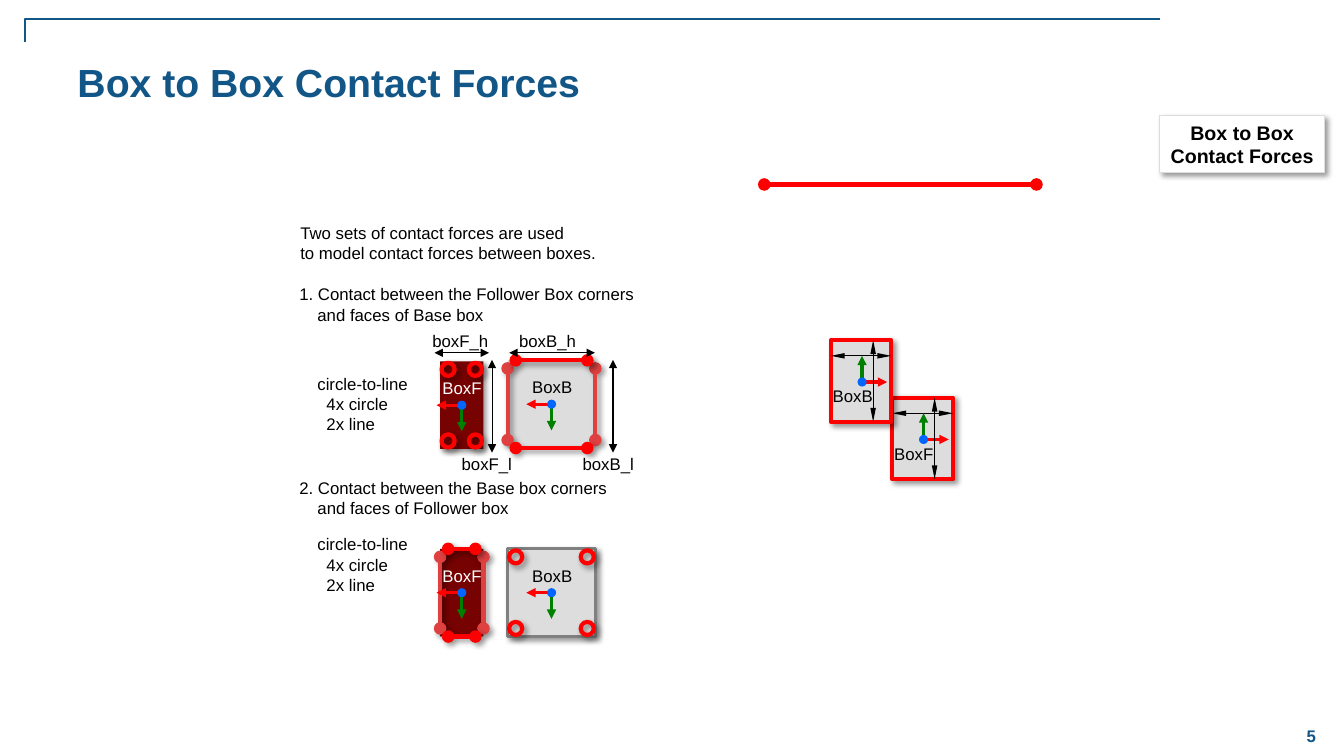
"""Builds the slide on contact forces between two boxes."""
from dataclasses import dataclass
from itertools import product

from lxml import etree
from pptx import Presentation
from pptx.dml.color import RGBColor
from pptx.enum.shapes import MSO_CONNECTOR, MSO_SHAPE
from pptx.enum.text import MSO_ANCHOR, PP_ALIGN
from pptx.oxml.ns import qn
from pptx.util import Inches, Pt

RECT, OVAL, STRAIGHT = MSO_SHAPE.RECTANGLE, MSO_SHAPE.OVAL, MSO_CONNECTOR.STRAIGHT
LEFT, CENTER = PP_ALIGN.LEFT, PP_ALIGN.CENTER
TOP, MIDDLE = MSO_ANCHOR.TOP, MSO_ANCHOR.MIDDLE


@dataclass(frozen=True)
class Theme:
    """Font, colours, type sizes and line widths."""
    font: str = "Arial"
    blue: str = "125687"
    black: str = "000000"
    white: str = "FFFFFF"
    red: str = "FF0000"
    side: str = "DF4141"
    maroon: str = "760202"
    grey: str = "DDDDDD"
    edge: str = "808080"
    green: str = "008000"
    origin: str = "0066FF"
    title: int = 28
    tag: int = 14
    body: int = 12
    thin: float = 0.75
    axis: float = 2.25
    thick: float = 3


T = Theme()


@dataclass(frozen=True)
class Box:
    """A box of the contact model, placed by its centre."""
    name: str
    cx: float
    cy: float
    w: float
    fill: str
    ink: str
    faces: bool
    line: str = ""
    shadow: bool = False


@dataclass(frozen=True)
class Note:
    """A text box whose lines after the first may be indented."""
    x: float
    y: float
    w: float
    h: float
    lines: tuple
    indent: float = 0


@dataclass(frozen=True)
class Dimension:
    """A double arrow with its label position."""
    name: str
    start: tuple
    end: tuple
    label: tuple
    w: float


BOXES = (
    Box("BoxF", 4.58, 4.02, 0.43, T.maroon, T.white, False, shadow=True),
    Box("BoxB", 5.47, 4.01, 0.87, T.grey, T.black, True),
    Box("BoxB", 5.47, 5.88, 0.87, T.grey, T.black, False, T.edge, True),
    Box("BoxF", 4.58, 5.88, 0.43, T.maroon, T.white, True),
)
METHOD = ("circle-to-line", "4x circle", "2x line")
NOTES = (
    Note(2.88, 2.16, 3.16, 0.5, ("Two sets of contact forces are used",
                                 "to model contact forces between boxes.")),
    Note(2.87, 2.77, 3.53, 0.5, ("1. Contact between the Follower Box corners",
                                 "and faces of Base box"), 0.18),
    Note(3.05, 3.66, 1.1, 0.71, METHOD, 0.09),
    Note(2.87, 4.69, 3.28, 0.5, ("2. Contact between the Base box corners",
                                 "and faces of Follower box"), 0.18),
    Note(3.05, 5.25, 1.1, 0.71, METHOD, 0.09),
)
DIMENSIONS = (
    Dimension("boxB_h", (5.05, 3.5), (5.9, 3.5), (5.05, 3.23), 0.77),
    Dimension("boxB_l", (6.08, 3.57), (6.08, 4.49), (5.68, 4.45), 0.71),
    Dimension("boxF_h", (4.31, 3.5), (4.85, 3.5), (4.19, 3.23), 0.77),
    Dimension("boxF_l", (4.88, 3.57), (4.88, 4.49), (4.48, 4.45), 0.71),
)
CONTACT_PAIR = (("BoxF", 9.15, 4.35), ("BoxB", 8.54, 3.78))


def rgb(color: str) -> RGBColor:
    """Turn a hex string into a colour."""
    return RGBColor.from_string(color)


def assign(target, values: dict) -> None:
    """Set each named attribute on the target."""
    for name, value in values.items():
        setattr(target, name, value)


def add_shadow(effects) -> None:
    """Put a soft outer shadow into an effect list."""
    shadow = etree.SubElement(effects, qn("a:outerShdw"), blurRad=str(Pt(4)),
                              dist=str(Pt(3)), dir="2700000", algn="tl", rotWithShape="0")
    color = etree.SubElement(shadow, qn("a:srgbClr"), val=T.black)
    etree.SubElement(color, qn("a:alpha"), val="40000")


def write(sp, lines: tuple, size: int = T.body, color: str = T.black, bold: bool = False,
          align=LEFT, anchor=TOP, indent: float = 0, margin_top: float = 0.05) -> None:
    """Fill a shape with one paragraph per line."""
    tf = sp.text_frame
    assign(tf, {"word_wrap": False, "vertical_anchor": anchor, "margin_top": Inches(margin_top)})
    for i, line in enumerate(lines):
        p = tf.paragraphs[0] if i == 0 else tf.add_paragraph()
        p.alignment = align
        if i and indent:
            p._p.get_or_add_pPr().set("marL", str(Inches(indent)))
        r = p.add_run()
        r.text = line
        assign(r.font, {"name": T.font, "size": Pt(size), "bold": bold})
        r.font.color.rgb = rgb(color)


def text(s, x: float, y: float, w: float, h: float, lines: tuple, **style) -> None:
    """Add a text box."""
    write(s.shapes.add_textbox(*map(Inches, (x, y, w, h))), lines, **style)


def shape(s, kind, cx: float, cy: float, w: float, h: float, fill: str = "",
          line: str = "", width: float = T.thick, shadow: bool = False):
    """Add a preset shape around a centre."""
    sp = s.shapes.add_shape(kind, *map(Inches, (cx - w / 2, cy - h / 2, w, h)))
    if fill:
        sp.fill.solid()
        sp.fill.fore_color.rgb = rgb(fill)
    else:
        sp.fill.background()
    if line:
        sp.line.color.rgb = rgb(line)
        sp.line.width = Pt(width)
    else:
        sp.line.fill.background()
    sp.shadow.inherit = False
    if shadow:
        add_shadow(sp._element.spPr.find(qn("a:effectLst")))
    return sp


def line(s, start: tuple, end: tuple, color: str, width: float, head: str = "",
         tail: str = "", shadow: bool = False, w: str = "med", length: str = "med") -> None:
    """Add a straight connector with optional line ends."""
    c = s.shapes.add_connector(STRAIGHT, *map(Inches, (*start, *end)))
    c.line.color.rgb = rgb(color)
    c.line.width = Pt(width)
    for tag, kind in (("a:headEnd", head), ("a:tailEnd", tail)):
        if kind:
            etree.SubElement(c.line._get_or_add_ln(), qn(tag), type=kind, w=w, len=length)
    effects = etree.SubElement(c._element.spPr, qn("a:effectLst"))
    if shadow:
        add_shadow(effects)


def axes(s, cx: float, cy: float, sign: int) -> None:
    """Draw a frame: red along x and green against y, both times sign."""
    line(s, (cx, cy), (cx + sign * 0.25, cy), T.red, T.axis, tail="triangle")
    line(s, (cx, cy), (cx, cy - sign * 0.26), T.green, T.axis, tail="triangle")
    shape(s, OVAL, cx, cy, 0.09, 0.09, T.origin)


def model_box(s, b: Box) -> None:
    """Draw a box with either its contact faces or its corner circles."""
    height, inset = 0.87, 0.08
    dx, dy = b.w / 2, height / 2
    shape(s, RECT, b.cx, b.cy, b.w, height, b.fill, b.line, 2, b.shadow)
    if b.faces:
        ends = {"head": "oval", "tail": "oval", "shadow": True}
        for x in (b.cx - dx, b.cx + dx):
            line(s, (x, b.cy + dy - inset), (x, b.cy - dy + inset), T.side, T.thick, **ends)
        for y in (b.cy - dy, b.cy + dy):
            line(s, (b.cx - dx + inset, y), (b.cx + dx - inset, y), T.red, T.thick, **ends)
    else:
        for i, j in product((-1, 1), repeat=2):
            shape(s, OVAL, b.cx + i * (dx - inset), b.cy + j * (dy - inset), 0.13, 0.13,
                  line=T.red, shadow=True)
    axes(s, b.cx, b.cy, -1)
    text(s, b.cx - 0.29, b.cy - 0.32, 0.6, 0.3, (b.name,), color=b.ink)


def contact_box(s, name: str, cx: float, cy: float) -> None:
    """Draw a red outlined box with its frame and dimension arrows."""
    w, h = 0.6, 0.81
    arrow = {"head": "triangle", "tail": "triangle", "w": "sm", "length": "lg"}
    shape(s, RECT, cx, cy, w, h, T.grey, T.red, shadow=True)
    line(s, (cx - w / 2, cy - 0.25), (cx + w / 2, cy - 0.25), T.black, T.thin, **arrow)
    axes(s, cx + 0.01, cy + 0.01, 1)
    text(s, cx - 0.38, cy, w, 0.3, (name,))
    line(s, (cx + 0.12, cy - h / 2), (cx + 0.12, cy + h / 2), T.black, T.thin, **arrow)


def frame_line(s) -> None:
    """Draw the bent line at the top left."""
    fb = s.shapes.build_freeform(Inches(11.51), Inches(0.19))
    fb.add_line_segments([(Inches(0.25), Inches(y)) for y in (0.19, 0.42)], close=False)
    sp = fb.convert_to_shape()
    sp.fill.background()
    sp.line.color.rgb = rgb(T.blue)
    sp.line.width = Pt(1)
    sp.shadow.inherit = False


def main() -> None:
    """Build and save the slide."""
    prs = Presentation()
    assign(prs, {"slide_width": Inches(13.33), "slide_height": Inches(7.5)})
    s = prs.slides.add_slide(prs.slide_layouts[6])
    frame_line(s)
    text(s, 0.67, 0.5, 11.78, 1.08, ("Box to Box Contact Forces",), size=T.title,
         color=T.blue, bold=True, margin_top=0.08)
    tag = shape(s, RECT, 12.32, 1.43, 1.63, 0.57, T.white, T.grey, T.thin, True)
    write(tag, ("Box to Box", "Contact Forces"), T.tag, bold=True, align=CENTER, anchor=MIDDLE)
    for n in NOTES:
        text(s, n.x, n.y, n.w, n.h, n.lines, indent=n.indent)
    for b in BOXES:
        model_box(s, b)
    for d in DIMENSIONS:
        line(s, d.start, d.end, T.black, T.thin, "triangle", "triangle")
        text(s, *d.label, d.w, 0.3, (d.name,))
    line(s, (7.58, 1.83), (10.28, 1.83), T.red, T.thick, "oval", "oval")
    for name, cx, cy in CONTACT_PAIR:
        contact_box(s, name, cx, cy)
    text(s, 12.67, 7.09, 0.67, 0.42, ("5",), color=T.blue, bold=True,
         align=CENTER, anchor=MIDDLE)
    prs.save("out.pptx")


main()
